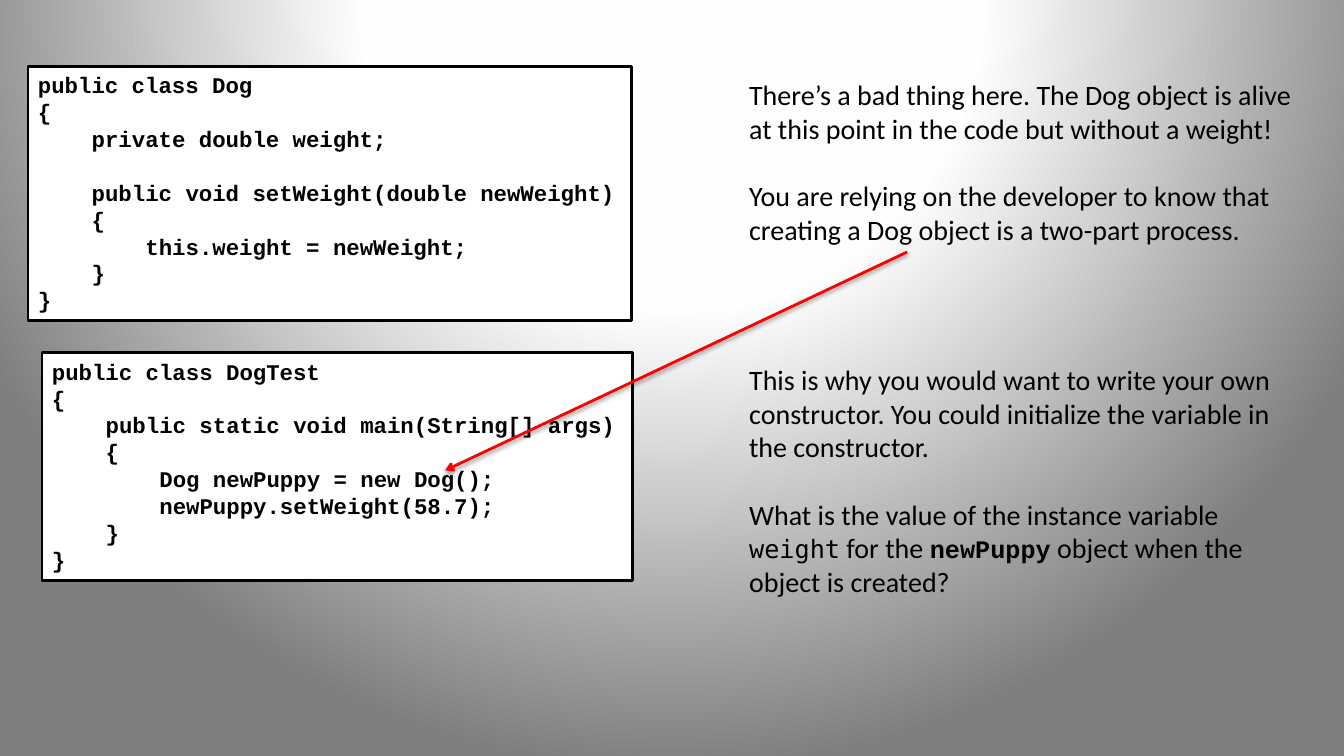
from pptx import Presentation
from pptx.dml.color import RGBColor as RGB
from pptx.enum.dml import MSO_LINE
from pptx.enum.shapes import MSO_CONNECTOR as CONN, MSO_SHAPE as SHAPE
from pptx.enum.text import MSO_ANCHOR as ANCHOR, MSO_AUTO_SIZE as FIT, PP_ALIGN as ALIGN
from pptx.oxml import parse_xml
from pptx.oxml.ns import nsdecls
from pptx.util import Pt

HUES = {"ink": "000000", "paper": "FFFFFF", "glow": "FEFEFE",
        "edge": "7F7F7F", "arrow": "FF0000"}
BODY, CODE, MONO = "Calibri", "Courier New", "DejaVu Sans Mono"
TAB = 38.4  # four code letters

DOG = [(0, "public class Dog"), (0, "{"), (1, "private double weight;"), None,
       (1, "public void setWeight(double newWeight)"), (1, "{"),
       (2, "this.weight = newWeight;"), (1, "}"), (0, "}")]
TEST = [(0, "public class DogTest"), (0, "{"),
        (1, "public static void main(String[] args)"), (1, "{"),
        (2, "Dog newPuppy = new Dog();"), (2, "newPuppy.setWeight(58.7);"),
        (1, "}"), (0, "}")]
FLAW = [["There’s a bad thing here. The Dog object is alive \v"
         "at this point in the code but without a weight!"],
        ["You are relying on the developer to know that \v"
         "creating a Dog object is a two-part process."]]
CURE = [["This is why you would want to write your own\v"
         "constructor. You could initialize the variable in\v"
         "the constructor."],
        ["What is the value of the instance variable\v",
         ("weight", {"font": MONO, "size": 18}), " for the ",
         ("newPuppy", {"font": CODE, "size": 18, "bold": True}),
         " object when the \vobject is created?"]]


def write(para, text, font=BODY, size=20, bold=False, color="ink"):
    """Add text to a paragraph; \\v marks a line break."""
    for i, line in enumerate(text.split("\v")):
        if i:
            para.add_line_break()
        if line:
            run = para.add_run()
            run.text = line
            run.font.name, run.font.size, run.font.bold = font, Pt(size), bold
            run.font.color.rgb = RGB.from_string(HUES[color])


def set_frame(shape):
    frame = shape.text_frame
    frame.word_wrap = True
    frame.auto_size = FIT.SHAPE_TO_FIT_TEXT
    frame.vertical_anchor = ANCHOR.TOP
    return frame


def next_para(frame, first):
    para = frame.paragraphs[0] if first else frame.add_paragraph()
    para.alignment = ALIGN.LEFT
    return para


def add_code(slide, box, lines):
    """White listing; None leaves one line free."""
    rect = slide.shapes.add_shape(SHAPE.RECTANGLE, *map(Pt, box))
    rect.shadow.inherit = False
    rect.fill.solid()
    rect.fill.fore_color.rgb = RGB.from_string(HUES["paper"])
    rect.line.color.rgb = RGB.from_string(HUES["ink"])
    rect.line.width = Pt(2)
    frame, gap = set_frame(rect), 0
    for i, line in enumerate(lines):
        if line is None:
            gap = 19.2
            continue
        depth, text = line
        para = next_para(frame, i == 0)
        para.space_before = Pt(gap)
        props = para._p.get_or_add_pPr()
        props.set("marL", str(Pt(depth * TAB)))
        props.set("indent", "0")
        write(para, text, font=CODE, size=16, bold=True)
        gap = 0


def add_note(slide, box, paras):
    """Plain remarks, one line apart."""
    frame = set_frame(slide.shapes.add_textbox(*map(Pt, box)))
    for i, parts in enumerate(paras):
        para = next_para(frame, i == 0)
        para.space_before = Pt(24 if i else 0)
        for part in parts:
            text, style = (part, {}) if isinstance(part, str) else part
            write(para, text, **style)


def add_arrow(slide, start, end):
    line = slide.shapes.add_connector(CONN.STRAIGHT, *map(Pt, start + end))
    line.line.color.rgb = RGB.from_string(HUES["arrow"])
    line.line.width = Pt(2)
    line.line.dash_style = MSO_LINE.SOLID
    line.line._get_or_add_ln().append(
        parse_xml(f'<a:tailEnd {nsdecls("a")} type="arrow"/>'))
    line._element.spPr.append(parse_xml(
        f'<a:effectLst {nsdecls("a")}><a:outerShdw blurRad="{Pt(3.1)}" '
        f'dist="{Pt(1.6)}" dir="5400000" rotWithShape="0">'
        f'<a:srgbClr val="{HUES["ink"]}"><a:alpha val="38000"/></a:srgbClr>'
        '</a:outerShdw></a:effectLst>'))


def add_glow(slide):
    """Round gradient centred above the slide."""
    stops = "".join(
        f'<a:gs pos="{pos * 1000}"><a:srgbClr val="{HUES[hue]}"/></a:gs>'
        for pos, hue in [(0, "paper"), (40, "glow"), (100, "edge")])
    slide._element.cSld.insert(0, parse_xml(
        f'<p:bg {nsdecls("p", "a")}><p:bgPr><a:gradFill rotWithShape="1">'
        f'<a:gsLst>{stops}</a:gsLst><a:path path="circle">'
        '<a:fillToRect l="50000" t="-80000" r="50000" b="180000"/></a:path>'
        '</a:gradFill><a:effectLst/></p:bgPr></p:bg>'))


def main():
    deck = Presentation()
    deck.slide_width, deck.slide_height = Pt(960), Pt(540)
    slide = deck.slides.add_slide(deck.slide_layouts[6])
    add_glow(slide)
    # Listings on the left
    add_code(slide, (20, 47.5, 431, 181.5), DOG)
    add_code(slide, (30, 252, 422, 162.5), TEST)
    # Remarks on the right
    add_note(slide, (528, 52, 407, 128), FLAW)
    add_note(slide, (528, 255.5, 394.5, 177), CURE)
    # From the remark to the line it means
    add_arrow(slide, (648, 180), (318, 336))
    deck.save("out.pptx")


if __name__ == "__main__":
    main()
